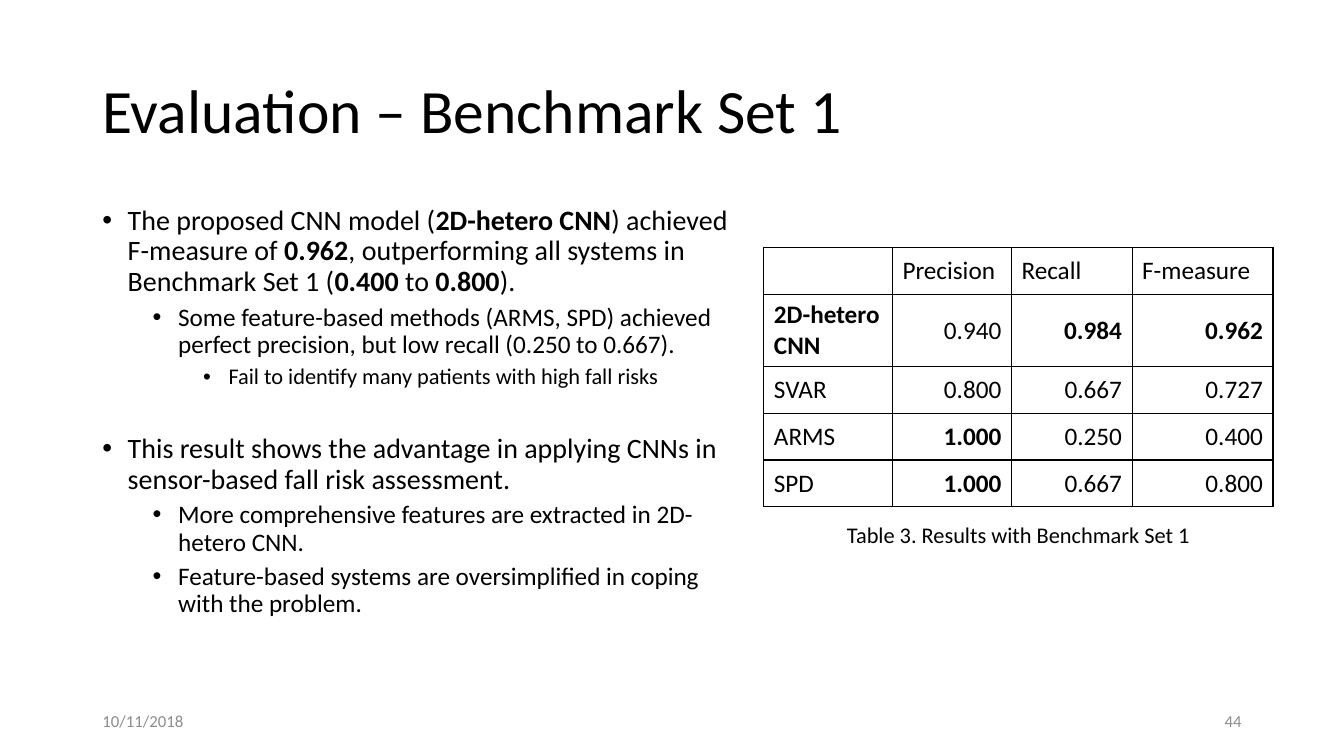
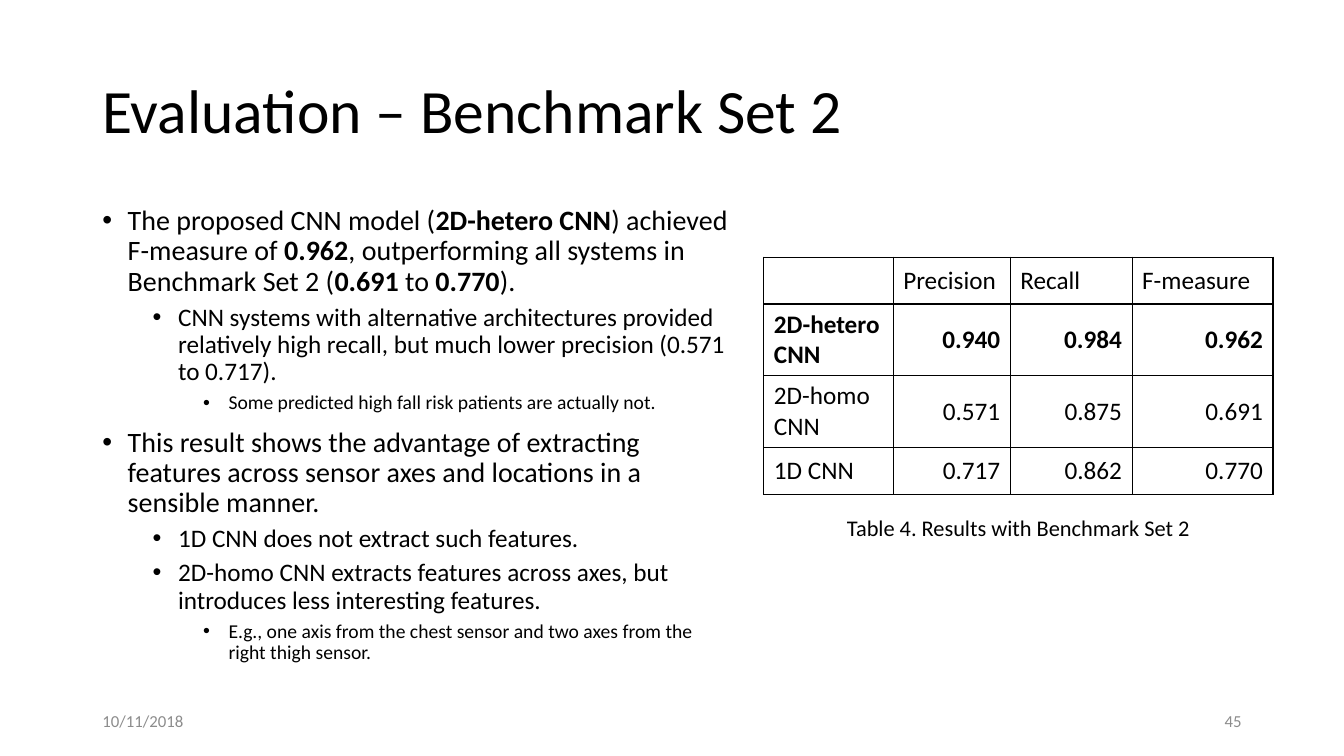
from lxml.etree import SubElement
from pptx import Presentation
from pptx.dml.color import RGBColor
from pptx.enum.text import MSO_ANCHOR, PP_ALIGN
from pptx.oxml.ns import qn
from pptx.util import Cm, Pt

COLORS = {"text": "000000", "footer": "8C8C8C", "border": "000000"}
FONT = "Calibri"
DATE = "10/11/2018"

# Shared layout, in centimetres
LEFT, CONTENT_WIDTH = 2.33, 29.21
FOOTER_TOP, FOOTER_WIDTH, FOOTER_HEIGHT = 17.65, 7.62, 1.02
TABLE_LEFT, TABLE_WIDTH = 19.25, 12.83
ROW_HEIGHT, TALL_ROW_HEIGHT = 1.18, 1.81
BULLET_STEP, BULLET_HANG = 1.27, 0.64

HEADINGS = ["", "Precision", "Recall", "F-measure"]
HETERO = "**2D-hetero CNN**"

# Bullets are (level, size, text) with an optional space before, in points
SLIDES = [
    {
        "title": "Evaluation – Benchmark Set 1",
        "number": "44",
        "bullets": [
            (0, 20, "The proposed CNN model (**2D-hetero CNN**) achieved F-measure of **0.962**, "
                    "outperforming all systems in Benchmark Set 1 (**0.400** to **0.800**)."),
            (1, 18, "Some feature-based methods (ARMS, SPD) achieved perfect precision, "
                    "but low recall (0.250 to 0.667)."),
            (2, 16, "Fail to identify many patients with high fall risks"),
            (0, 20, "This result shows the advantage in applying CNNs in "
                    "sensor-based fall risk assessment.", 32),
            (1, 18, "More comprehensive features are extracted in 2D-hetero CNN."),
            (1, 18, "Feature-based systems are oversimplified in coping with the problem."),
        ],
        "table_top": 6.24,
        "columns": [3.24, 3.0, 3.04, 3.55],
        "results": [
            [HETERO, "0.940", "**0.984**", "**0.962**"],
            ["SVAR", "0.800", "0.667", "0.727"],
            ["ARMS", "**1.000**", "0.250", "0.400"],
            ["SPD", "**1.000**", "0.667", "0.800"],
        ],
        "caption": "Table 3. Results with Benchmark Set 1",
        "caption_top": 13.0,
    },
    {
        "title": "Evaluation – Benchmark Set 2",
        "number": "45",
        "bullets": [
            (0, 20, "The proposed CNN model (**2D-hetero CNN**) achieved F-measure of **0.962**, "
                    "outperforming all systems in Benchmark Set 2 (**0.691** to **0.770**)."),
            (1, 18, "CNN systems with alternative architectures provided relatively high recall, "
                    "but much lower precision (0.571 to 0.717)."),
            (2, 14, "Some predicted high fall risk patients are actually not."),
            (0, 20, "This result shows the advantage of extracting features across "
                    "sensor axes and locations in a sensible manner."),
            (1, 18, "1D CNN does not extract such features."),
            (1, 18, "2D-homo CNN extracts features across axes, "
                    "but introduces less interesting features."),
            (2, 14, "E.g., one axis from the chest sensor and two axes from the right thigh sensor."),
        ],
        "table_top": 6.48,
        "columns": [3.26, 2.95, 3.07, 3.55],
        "results": [
            [HETERO, "**0.940**", "**0.984**", "**0.962**"],
            ["2D-homo CNN", "0.571", "0.875", "0.691"],
            ["1D CNN", "0.717", "0.862", "0.770"],
        ],
        "caption": "Table 4. Results with Benchmark Set 2",
        "caption_top": 12.83,
    },
]


def write_text(paragraph, text, size=18, color="text", align=PP_ALIGN.LEFT,
               line_spacing=None, space_before=0):
    """Fill a paragraph; parts between ** marks are bold."""
    paragraph.alignment = align
    paragraph.line_spacing = line_spacing
    paragraph.space_before = Pt(space_before)
    for index, part in enumerate(text.split("**")):
        if part:
            run = paragraph.add_run()
            run.text = part
            run.font.name = FONT
            run.font.size = Pt(size)
            run.font.bold = index % 2 == 1
            run.font.color.rgb = RGBColor.from_string(COLORS[color])


def add_frame(slide, left, top, width, height, anchor=MSO_ANCHOR.TOP):
    frame = slide.shapes.add_textbox(Cm(left), Cm(top), Cm(width), Cm(height)).text_frame
    frame.word_wrap = True
    frame.vertical_anchor = anchor
    return frame


def add_line(slide, text, box, anchor=MSO_ANCHOR.MIDDLE, **style):
    write_text(add_frame(slide, *box, anchor=anchor).paragraphs[0], text, **style)


def add_bullets(slide, bullets):
    frame = add_frame(slide, LEFT, 5.08, 16.34, 12.6)
    for index, (level, size, text, *gap) in enumerate(bullets):
        bullet = frame.add_paragraph() if index else frame.paragraphs[0]
        bullet.level = level
        properties = bullet._p.get_or_add_pPr()
        properties.set("marL", str(Cm(BULLET_HANG + level * BULLET_STEP)))
        properties.set("indent", str(-Cm(BULLET_HANG)))
        SubElement(properties, qn("a:buFont"), typeface="Arial")
        SubElement(properties, qn("a:buChar"), char="•")
        usual_gap = 5 if level else 10
        space_before = (gap[0] if gap else usual_gap) if index else 0
        write_text(bullet, text, size=size, line_spacing=0.9, space_before=space_before)


def outline_cell(cell):
    properties = cell._tc.get_or_add_tcPr()
    for side in ("lnL", "lnR", "lnT", "lnB"):
        border = SubElement(properties, qn(f"a:{side}"), w=str(Pt(1)))
        fill = SubElement(border, qn("a:solidFill"))
        SubElement(fill, qn("a:srgbClr"), val=COLORS["border"])


def add_results(slide, top, columns, results):
    rows = [HEADINGS] + results
    # Names of two words ending in CNN after "2D" take two lines
    heights = [TALL_ROW_HEIGHT if "2D-" in row[0] else ROW_HEIGHT for row in rows]
    table = slide.shapes.add_table(len(rows), len(columns), Cm(TABLE_LEFT), Cm(top),
                                   Cm(TABLE_WIDTH), Cm(sum(heights))).table
    table.first_row = table.horz_banding = False
    for column, width in zip(table.columns, columns):
        column.width = Cm(width)
    for r, (row, height) in enumerate(zip(rows, heights)):
        table.rows[r].height = Cm(height)
        for c, text in enumerate(row):
            cell = table.cell(r, c)
            outline_cell(cell)
            cell.fill.background()
            cell.vertical_anchor = MSO_ANCHOR.MIDDLE
            write_text(cell.text_frame.paragraphs[0], text,
                       align=PP_ALIGN.RIGHT if r and c else PP_ALIGN.LEFT)


def add_footer(slide, number):
    number_left = LEFT + CONTENT_WIDTH - FOOTER_WIDTH
    for text, left, align in ((DATE, LEFT, PP_ALIGN.LEFT),
                              (number, number_left, PP_ALIGN.RIGHT)):
        add_line(slide, text, (left, FOOTER_TOP, FOOTER_WIDTH, FOOTER_HEIGHT),
                 size=12, color="footer", align=align)


def add_evaluation(deck, content):
    slide = deck.slides.add_slide(deck.slide_layouts[6])
    # Title
    add_line(slide, content["title"], (LEFT, 1.01, CONTENT_WIDTH, 3.68),
             size=44, line_spacing=0.9)
    # Findings
    add_bullets(slide, content["bullets"])
    # Results and caption
    add_results(slide, content["table_top"], content["columns"], content["results"])
    add_line(slide, content["caption"], (TABLE_LEFT, content["caption_top"], TABLE_WIDTH, 0.94),
             anchor=MSO_ANCHOR.TOP, size=16, align=PP_ALIGN.CENTER)
    # Date and slide number
    add_footer(slide, content["number"])


def main():
    deck = Presentation()
    deck.slide_width, deck.slide_height = Cm(33.87), Cm(19.05)
    for content in SLIDES:
        add_evaluation(deck, content)
    deck.save("out.pptx")


if __name__ == "__main__":
    main()
